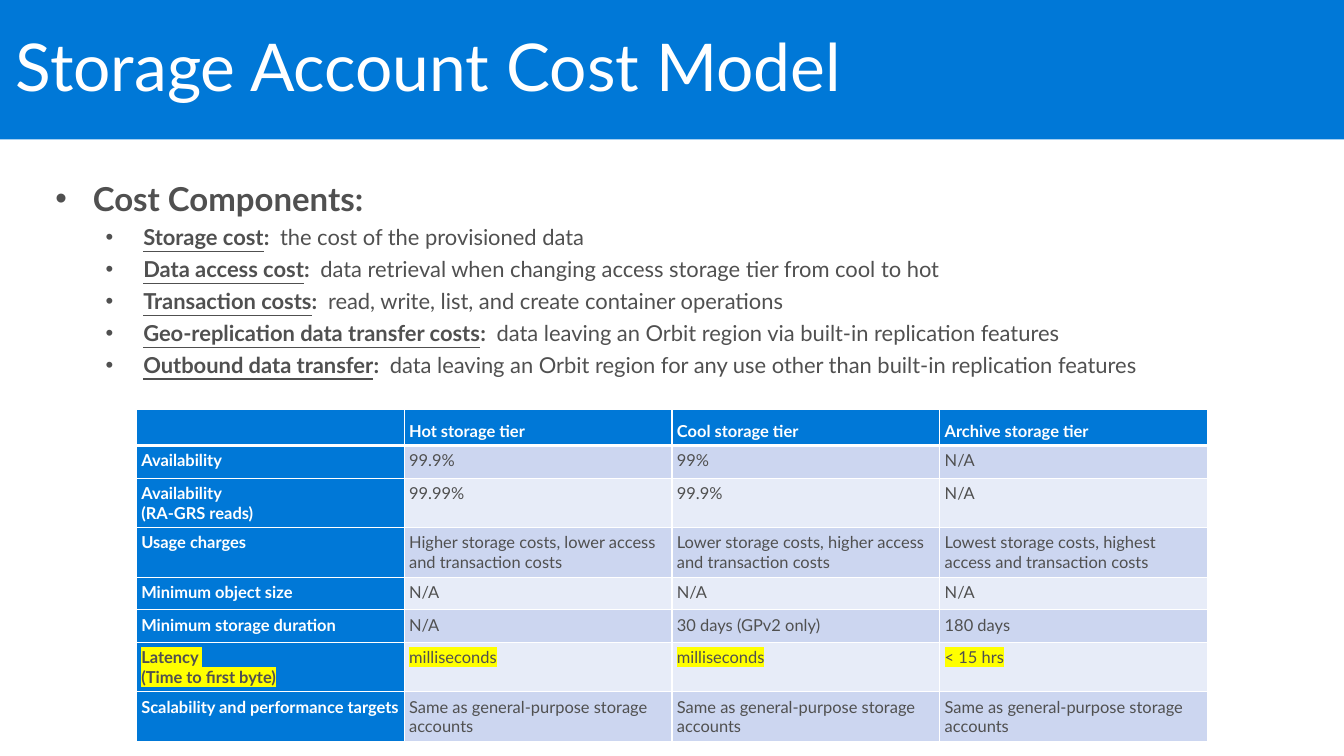
from pptx import Presentation
from pptx.dml.color import RGBColor
from pptx.enum.text import MSO_ANCHOR as ANCHOR, MSO_AUTO_SIZE as AUTO, PP_ALIGN as ALIGN
from pptx.oxml.ns import qn
from pptx.util import Inches, Pt
from lxml.etree import SubElement

# Content
TITLE = "Storage Account Cost Model"
HEADING = "Cost Components:"
COSTS = [
    ("Storage cost", "the cost of the provisioned data"),
    ("Data access cost", "data retrieval when changing access storage tier from cool to hot"),
    ("Transaction costs", "read, write, list, and create container operations"),
    ("Geo-replication data transfer costs",
     "data leaving an Orbit region via built-in replication features"),
    ("Outbound data transfer",
     "data leaving an Orbit region for any use other than built-in replication features"),
]
SAME_TARGETS = "Same as general-purpose storage accounts"
TIERS = [
    ("", "Hot storage tier", "Cool storage tier", "Archive storage tier"),
    ("Availability", "99.9%", "99%", "N/A"),
    ("Availability \n(RA-GRS reads)", "99.99%", "99.9%", "N/A"),
    ("Usage charges",
     "Higher storage costs, lower access and transaction costs",
     "Lower storage costs, higher access and transaction costs",
     "Lowest storage costs, highest access and transaction costs"),
    ("Minimum object size", "N/A", "N/A", "N/A"),
    ("Minimum storage duration", "N/A", "30 days (GPv2 only)", "180 days"),
    ("Latency \n(Time to first byte)", "milliseconds", "milliseconds", "< 15 hrs"),
    ("Scalability and performance targets", SAME_TARGETS, SAME_TARGETS, SAME_TARGETS),
]
ROW_HEIGHTS = [0.37, 0.33, 0.48, 0.48, 0.33, 0.33, 0.48, 0.48]
COL_WIDTH = 2.71
LATENCY_ROW = 6

# Format
FONT = "Lato"
BLUE = RGBColor(0x00, 0x78, 0xD7)
WHITE = RGBColor(0xFF, 0xFF, 0xFF)
GREY = RGBColor(0x50, 0x50, 0x50)
BANDS = [RGBColor(0xE7, 0xEC, 0xF8), RGBColor(0xCC, 0xD6, 0xF0)]
YELLOW = RGBColor(0xFF, 0xFF, 0x00)


def style_run(r, size, color, **formats):
    for name, value in {"name": FONT, "size": Pt(size), **formats}.items():
        setattr(r.font, name, value)
    r.font.color.rgb = color


def add_run(p, text, size, color, **formats):
    r = p.add_run()
    r.text = text
    style_run(r, size, color, **formats)


def set_frame(tf, side, top, anchor):
    formats = {"margin_left": Inches(side), "margin_right": Inches(side),
               "margin_top": Inches(top), "margin_bottom": Inches(top),
               "word_wrap": True, "auto_size": AUTO.NONE, "vertical_anchor": anchor}
    for name, value in formats.items():
        setattr(tf, name, value)


def place(sp, left, top, width, height):
    sp.left, sp.top = Inches(left), Inches(top)
    sp.width, sp.height = Inches(width), Inches(height)


def set_bullet(p, level, indent):
    pPr = p._p.get_or_add_pPr()
    pPr.set("marL", str(Inches(indent)))
    pPr.set("indent", str(Inches(-0.38)))
    SubElement(pPr, qn("a:buFont"), typeface="Arial")
    SubElement(pPr, qn("a:buChar"), char="•")
    formats = {"level": level, "line_spacing": 0.9, "space_before": Pt(0),
               "space_after": Pt(6), "alignment": ALIGN.LEFT}
    for name, value in formats.items():
        setattr(p, name, value)


def set_border(cell, side, width):
    ln = SubElement(cell._tc.get_or_add_tcPr(), qn(f"a:ln{side}"), w=str(Pt(width)))
    fill = SubElement(ln, qn("a:solidFill"))
    SubElement(fill, qn("a:srgbClr"), val=str(WHITE))


def highlight(r):
    mark = SubElement(r.font._element, qn("a:highlight"))
    SubElement(mark, qn("a:srgbClr"), val=str(YELLOW))
    r.font._element.find(qn("a:solidFill")).addnext(mark)


def fill_cell(cell, row, col, text):
    is_header = row == 0 or col == 0
    is_latency = row == LATENCY_ROW
    for side, width in {"L": 1, "R": 1, "T": 3 if row == 1 else 1,
                        "B": 3 if row == 0 else 1}.items():
        set_border(cell, side, width)
    cell.fill.solid()
    cell.fill.fore_color.rgb = BLUE if is_header else BANDS[row % 2]
    cell.margin_left = cell.margin_right = Inches(0.05)
    cell.margin_top = cell.margin_bottom = Inches(0.05)
    cell.vertical_anchor = ANCHOR.BOTTOM if row == 0 else ANCHOR.TOP

    p = cell.text_frame.paragraphs[0]
    p.text = text
    for r in p.runs:
        style_run(r, 12, WHITE if is_header and not is_latency else GREY, bold=is_header)
        if is_latency:
            highlight(r)
    # Line breaks and empty cells take the table's text size
    for br in p._p.findall(qn("a:br")):
        SubElement(br, qn("a:rPr"), sz="1200")
    if not text:
        SubElement(p._p, qn("a:endParaRPr"), sz="1200")


def main():
    prs = Presentation()
    prs.slide_width, prs.slide_height = Inches(13.6), Inches(7.65)
    slide = prs.slides.add_slide(prs.slide_layouts[1])

    # Title band
    title = slide.shapes.title
    place(title, 0, 0, 13.6, 1.41)
    title.fill.solid()
    title.fill.fore_color.rgb = BLUE
    set_frame(title.text_frame, 0.16, 0.1, ANCHOR.MIDDLE)
    p = title.text_frame.paragraphs[0]
    p.alignment, p.line_spacing = ALIGN.LEFT, 0.9
    add_run(p, TITLE, 48, WHITE)

    # Cost components
    body = slide.placeholders[1]
    place(body, 0.36, 1.69, 12.94, 2.32)
    tf = body.text_frame
    set_frame(tf, 0.2, 0.16, ANCHOR.TOP)
    set_bullet(tf.paragraphs[0], 0, 0.38)
    add_run(tf.paragraphs[0], HEADING, 24, GREY, bold=True)
    for term, meaning in COSTS:
        p = tf.add_paragraph()
        set_bullet(p, 1, 0.89)
        add_run(p, term, 16, GREY, bold=True, underline=True)
        add_run(p, ":  ", 16, GREY, bold=True)
        add_run(p, meaning, 16, GREY)

    # Tier comparison table
    cols = len(TIERS[0])
    table = slide.shapes.add_table(
        len(TIERS), cols, Inches(1.38), Inches(4.14),
        Inches(COL_WIDTH * cols), Inches(sum(ROW_HEIGHTS))).table
    for column in table.columns:
        column.width = Inches(COL_WIDTH)
    for row, (height, texts) in enumerate(zip(ROW_HEIGHTS, TIERS)):
        table.rows[row].height = Inches(height)
        for col, text in enumerate(texts):
            fill_cell(table.cell(row, col), row, col, text)

    prs.save("out.pptx")


if __name__ == "__main__":
    main()
